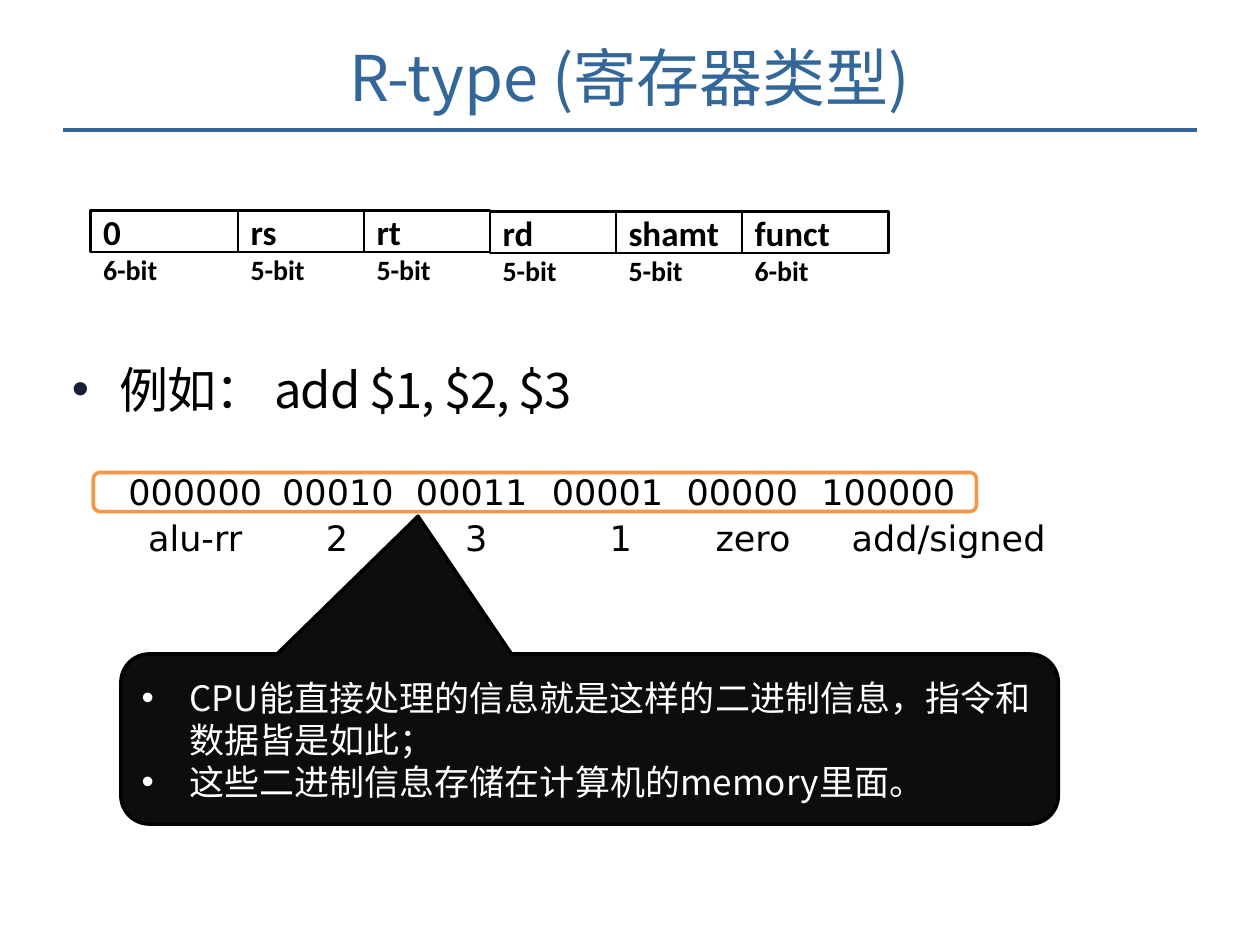
import pptx
import pptx.util
import pptx.dml.color
import pptx.enum.shapes
import pptx.enum.text
import pptx.oxml
import pptx.oxml.ns

Inches = pptx.util.Inches
Pt = pptx.util.Pt
SHAPE = pptx.enum.shapes.MSO_SHAPE
ANCHOR = pptx.enum.text.MSO_ANCHOR
CENTER = pptx.enum.text.PP_ALIGN.CENTER
CJK = "Noto Sans CJK SC"
NS = pptx.oxml.ns.nsdecls("a")


def rgb(value):
    return pptx.dml.color.RGBColor.from_string(value)


def set_attrs(obj, values):
    for name, value in values.items():
        setattr(obj, name, value)


def set_frame(tf, insets=(0, 0, 0, 0), wrap=True, anchor=ANCHOR.TOP):
    sides = ("margin_left", "margin_top", "margin_right", "margin_bottom")
    set_attrs(tf, dict(zip(sides, map(Inches, insets))))
    set_attrs(tf, {"word_wrap": wrap, "vertical_anchor": anchor})


def add_paragraph(tf, text, size, font, color, bold=False, spacing=0, **fmt):
    p = tf.paragraphs[0]
    if p.runs:
        p = tf.add_paragraph()
    set_attrs(p, fmt)
    r = p.add_run()
    r.text = text
    set_attrs(r.font, {"size": Pt(size), "name": font, "bold": bold})
    r.font.color.rgb = rgb(color)
    rPr = r._r.get_or_add_rPr()
    rPr.append(pptx.oxml.parse_xml(f'<a:ea {NS} typeface="{font}"/>'))
    if spacing:
        rPr.set("spc", str(round(spacing * 100)))
    return p


def set_indent(p, left, first=0):
    pPr = p._p.get_or_add_pPr()
    pPr.set("marL", str(Inches(left)))
    pPr.set("indent", str(Inches(first)))


def add_bullet(p, color):
    set_indent(p, 0.38, -0.38)
    pPr = p._p.get_or_add_pPr()
    for xml in (
        f'<a:buClr {NS}><a:srgbClr val="{color}"/></a:buClr>',
        f'<a:buFont {NS} typeface="Arial"/>',
        f'<a:buChar {NS} char="•"/>',
    ):
        pPr.append(pptx.oxml.parse_xml(xml))


def add_text(slide, box, text, size, color, anchor=ANCHOR.TOP, **fmt):
    tf = slide.shapes.add_textbox(*map(Inches, box)).text_frame
    set_frame(tf, anchor=anchor)
    return add_paragraph(tf, text, size, CJK, color, **fmt)


def add_box(slide, kind, box, line, width, fill=None):
    sp = slide.shapes.add_shape(kind, *map(Inches, box))
    sp.shadow.inherit = False
    if fill:
        sp.fill.solid()
        sp.fill.fore_color.rgb = rgb(fill)
    else:
        sp.fill.background()
    sp.line.color.rgb = rgb(line)
    sp.line.width = Pt(width)
    return sp


def add_rule(slide, x1, x2, y):
    line = slide.shapes.add_connector(
        pptx.enum.shapes.MSO_CONNECTOR.STRAIGHT,
        Inches(x1), Inches(y), Inches(x2), Inches(y))
    line.line.color.rgb = rgb("336699")
    line.line.width = Pt(2)
    line._element.spPr.append(pptx.oxml.parse_xml(f"<a:effectLst {NS}/>"))


def add_format_fields(slide):
    fields = [("0", 6, 1.17), ("rs", 5, 1), ("rt", 5, 1),
              ("rd", 5, 1), ("shamt", 5, 1), ("funct", 6, 1.16)]
    left = 0.72
    for i, (name, bits, width) in enumerate(fields):
        top = 1.67 if i < 3 else 1.68
        sp = add_box(slide, SHAPE.RECTANGLE, (left, top, width, 0.33),
                     "000000", 1.5, "FFFFFF")
        set_frame(sp.text_frame, (0.1, 0, 0.1, 0.05), wrap=False)
        for text, size in ((name, 20), (f"{bits}-bit", 16)):
            add_paragraph(sp.text_frame, text, size, "Calibri", "000000",
                          bold=True, alignment=pptx.enum.text.PP_ALIGN.LEFT)
        left += width


def add_encoding_table(slide):
    widths = [1.18, 1.07, 1.07, 1.07, 1.07, 1.9]
    rows = [
        [("000000", None), ("00010", 0.1), ("00011", None),
         ("00001", 0.1), ("00000", 0.1), ("100000", 0.1)],
        [("alu-rr", None), ("2", None), ("3", None),
         ("1", 0.56), ("zero", 0.33), ("add/signed", 0.34)],
    ]
    table = slide.shapes.add_table(
        2, 6, Inches(0.96), Inches(3.75), Inches(sum(widths)), Inches(0.7)).table
    set_attrs(table, {"first_row": False, "horz_banding": False})
    for column, width in zip(table.columns, widths):
        column.width = Inches(width)
    for i, row in enumerate(rows):
        table.rows[i].height = Inches(0.35)
        for j, (text, indent) in enumerate(row):
            cell = table.cell(i, j)
            cell.fill.background()
            set_attrs(cell, {"margin_left": 0, "margin_right": 0,
                             "margin_top": Inches(0.02 * i), "margin_bottom": 0})
            p = add_paragraph(cell.text_frame, text, 20, "DejaVu Sans", "000000",
                              space_before=Pt((0.1, 1.2)[i]))
            if indent is None:
                p.alignment = CENTER
                set_indent(p, 0.07 if text == "3" else 0)
            else:
                set_indent(p, indent)


def add_callout(slide, lines):
    sp = add_box(slide, SHAPE.ROUNDED_RECTANGULAR_CALLOUT,
                 (0.96, 5.19, 7.44, 1.35), "000000", 2, "0D0D0D")
    for i, value in enumerate((-0.183, -1.31, 0.167)):
        sp.adjustments[i] = value
    set_frame(sp.text_frame, (0.1, 0.05, 0.1, 0.05), anchor=ANCHOR.MIDDLE)
    for text in lines:
        p = add_paragraph(sp.text_frame, text, 20, CJK, "FFFFFF",
                          alignment=pptx.enum.text.PP_ALIGN.LEFT)
        add_bullet(p, "FFFFFF")


def main():
    prs = pptx.Presentation()
    set_attrs(prs, {"slide_width": Inches(10), "slide_height": Inches(7.5)})
    slide = prs.slides.add_slide(prs.slide_layouts[6])
    add_rule(slide, 0.5, 9.5, 1.03)
    example = add_text(slide, (0.57, 2.85, 8.92, 0.47), "例如： add $1, $2, $3",
                       28, "000000", spacing=-0.6,
                       space_before=Pt(6), space_after=Pt(6))
    add_bullet(example, "151F36")
    add_encoding_table(slide)
    add_text(slide, (0, 0.23, 10, 0.75), "R-type (寄存器类型)", 36, "336699",
             anchor=ANCHOR.MIDDLE, alignment=CENTER)
    add_box(slide, SHAPE.ROUNDED_RECTANGLE, (0.74, 3.75, 7.01, 0.31), "F79646", 2)
    add_callout(slide, [
        "CPU能直接处理的信息就是这样的二进制信息，指令和数据皆是如此；",
        "这些二进制信息存储在计算机的memory里面。",
    ])
    add_format_fields(slide)
    prs.save("out.pptx")


if __name__ == "__main__":
    main()
